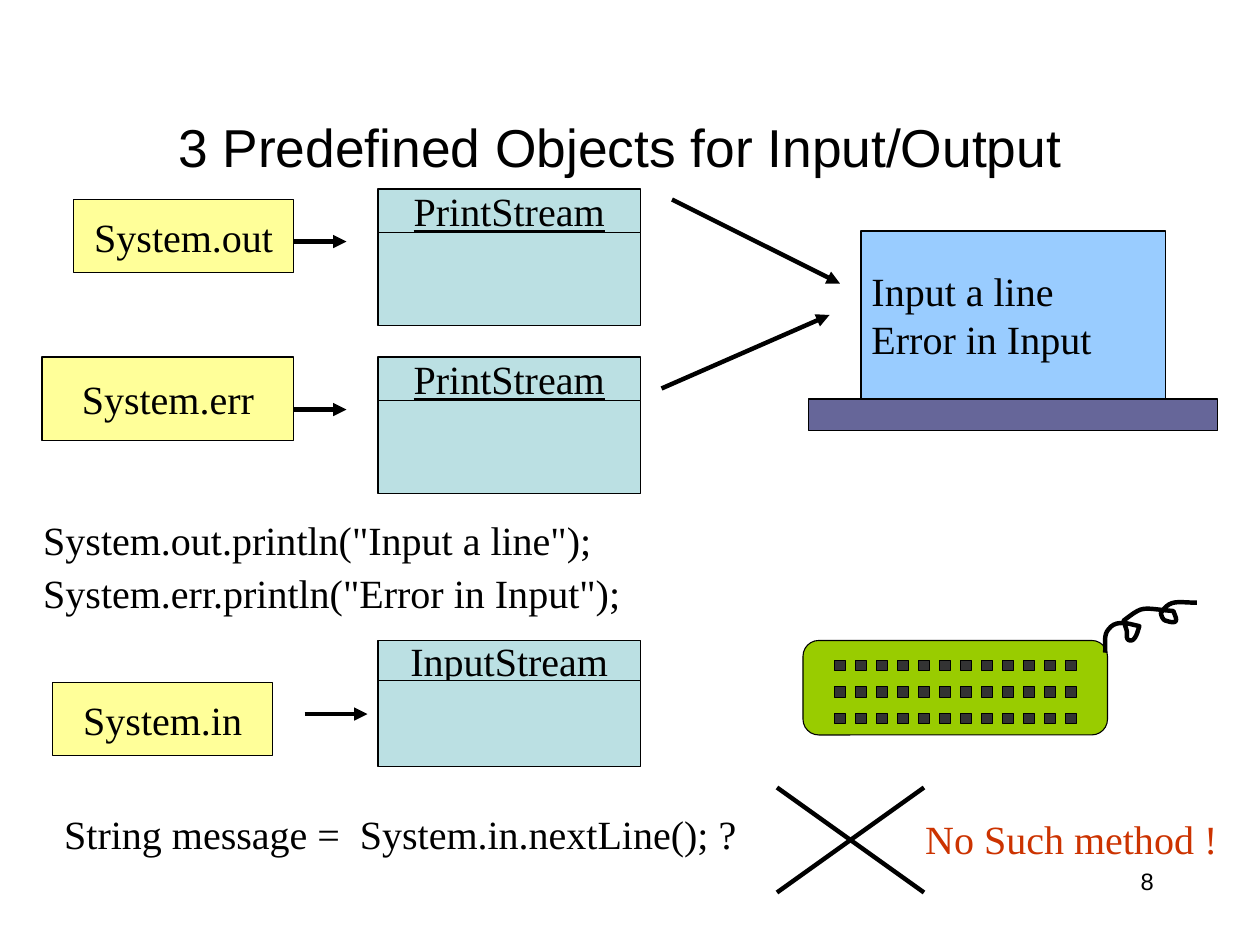
import pptx
import pptx.util
import pptx.dml.color
import pptx.enum.shapes
import pptx.enum.text
import lxml.etree

Cm = pptx.util.Cm
Pt = pptx.util.Pt
rgb = pptx.dml.color.RGBColor.from_string
Shape = pptx.enum.shapes.MSO_SHAPE
Align = pptx.enum.text.PP_ALIGN
Anchor = pptx.enum.text.MSO_ANCHOR
MAIN = "http://schemas.openxmlformats.org/drawingml/2006/main"

deck = pptx.Presentation()
deck.slide_width, deck.slide_height = Cm(30), Cm(22.5)
page = deck.slides.add_slide(deck.slide_layouts[5])


def add_box(left, top, width, height, fill, kind=Shape.RECTANGLE):
    box = page.shapes.add_shape(kind, Cm(left), Cm(top), Cm(width), Cm(height))
    box.shadow.inherit = False
    box.fill.solid()
    box.fill.fore_color.rgb = rgb(fill)
    box.line.color.rgb = rgb("000000")
    box.line.width = Pt(0.75)
    return box


def write(box, lines, align, anchor=Anchor.MIDDLE, font="Times New Roman",
          size=27, color="000000", underline=None, spacing=None):
    frame = box.text_frame
    frame.word_wrap = True
    frame.auto_size = pptx.enum.text.MSO_AUTO_SIZE.NONE
    frame.vertical_anchor = anchor
    for index, line in enumerate(lines):
        para = frame.add_paragraph() if index else frame.paragraphs[0]
        para.alignment = align
        para.line_spacing = spacing
        span = para.add_run()
        span.text = line
        span.font.name = font
        span.font.size = Pt(size)
        span.font.color.rgb = rgb(color)
        span.font.underline = underline


title = page.shapes.title
title.left, title.top, title.width, title.height = Cm(2.72), Cm(2.34), Cm(24.08), Cm(2.26)
write(title, ["3 Predefined Objects for Input/Output"], Align.CENTER, font="Arial", size=36)

lines = [
    (6.75, 5.75, 8.25, 5.75, True),
    (6.75, 9.75, 8.25, 9.75, True),
    (7.25, 17, 8.75, 17, True),
    (16, 4.75, 20, 6.75, True),
    (15.75, 9.25, 19.75, 7.5, True),
    (18.5, 18.75, 22, 21.25, False),
    (22, 18.75, 18.5, 21.25, False),
]
for x1, y1, x2, y2, has_head in lines:
    connector = page.shapes.add_connector(
        pptx.enum.shapes.MSO_CONNECTOR.STRAIGHT, Cm(x1), Cm(y1), Cm(x2), Cm(y2))
    connector.line.color.rgb = rgb("000000")
    connector.line.width = Pt(3)
    if has_head:
        outline = connector.line._get_or_add_ln()
        lxml.etree.SubElement(outline, f"{{{MAIN}}}tailEnd", type="triangle")
    lxml.etree.SubElement(connector._element.spPr, f"{{{MAIN}}}effectLst")

variables = [
    ("System.out", 1.75, 4.75, 5.25, 1.75),
    ("System.err", 1, 8.5, 6, 2),
    ("System.in", 1.25, 16.25, 5.25, 1.75),
]
for name, left, top, width, height in variables:
    write(add_box(left, top, width, height, "FFFF99"), [name], Align.CENTER)

streams = [
    ("PrintStream", 4.5, 1.03, 2.23),
    ("PrintStream", 8.5, 1.03, 2.23),
    ("InputStream", 15.25, 0.95, 2.05),
]
for name, top, head_height, body_height in streams:
    head = add_box(9, top, 6.25, head_height, "BBE0E3")
    write(head, [name], Align.CENTER, underline=True)
    add_box(9, top + head_height, 6.25, body_height, "BBE0E3")

screen = add_box(20.5, 5.5, 7.25, 4, "99CCFF")
write(screen, ["Input a line", "Error in Input"], Align.LEFT)
add_box(19.25, 9.5, 9.75, 0.75, "666699")

add_box(19.12, 15.25, 7.25, 2.25, "99CC00", Shape.ROUNDED_RECTANGLE)
for row in range(3):
    for column in range(12):
        add_box(19.88 + 0.5 * column, 15.72 + 0.63 * row, 0.25, 0.25, "333333")

cable_start = (26.31, 15.54)
cable_curves = [
    ((26.34, 15.37), (26.26, 15.14), (26.39, 14.99)),
    ((26.57, 14.73), (26.9, 14.86), (27.13, 14.91)),
    ((27.1, 14.96), (27.05, 15.32), (26.87, 15.24)),
    ((26.8, 15.19), (26.85, 15.06), (26.82, 14.99)),
    ((26.8, 14.91), (26.77, 14.86), (26.75, 14.78)),
    ((27.25, 14.4), (27.15, 14.48), (27.94, 14.55)),
    ((27.97, 14.66), (28.14, 14.91), (27.76, 14.78)),
    ((27.69, 14.76), (27.66, 14.68), (27.64, 14.6)),
    ((27.86, 14.25), (28.04, 14.35), (28.5, 14.35)),
]
steps = 10
cable_points = []
start = cable_start
for first, second, end in cable_curves:
    for step in range(1, steps + 1):
        t = step / steps
        cable_points.append(tuple(
            Cm((1 - t) ** 3 * a + 3 * (1 - t) ** 2 * t * b + 3 * (1 - t) * t ** 2 * c + t ** 3 * d)
            for a, b, c, d in zip(start, first, second, end)))
    start = end
builder = page.shapes.build_freeform(Cm(cable_start[0]), Cm(cable_start[1]))
builder.add_line_segments(cable_points, close=False)
cable = builder.convert_to_shape()
cable.shadow.inherit = False
cable.fill.background()
cable.line.color.rgb = rgb("000000")
cable.line.width = Pt(3)

prints = ['System.out.println("Input a line");', 'System.err.println("Error in Input");']
question = ["String message =  System.in.nextLine(); ?"]
texts = [
    (0.75, 12.01, 26.25, 2.82, prints, Align.LEFT, {"spacing": 1.1}),
    (1.25, 19, 18.25, 1.55, question, Align.LEFT, {"spacing": 1.1}),
    (21.75, 19.25, 8.25, 1.42, ["No Such method !"], Align.LEFT, {"color": "CC3300"}),
    (21.5, 20.5, 6.25, 1.5, ["8"], Align.RIGHT, {"font": "Arial", "size": 16}),
]
for left, top, width, height, wording, align, look in texts:
    box = page.shapes.add_textbox(Cm(left), Cm(top), Cm(width), Cm(height))
    write(box, wording, align, Anchor.TOP, **look)
    frame = box.text_frame
    frame.margin_left = frame.margin_right = Cm(0.28)
    frame.margin_top = frame.margin_bottom = Cm(0.15)

deck.save("out.pptx")
